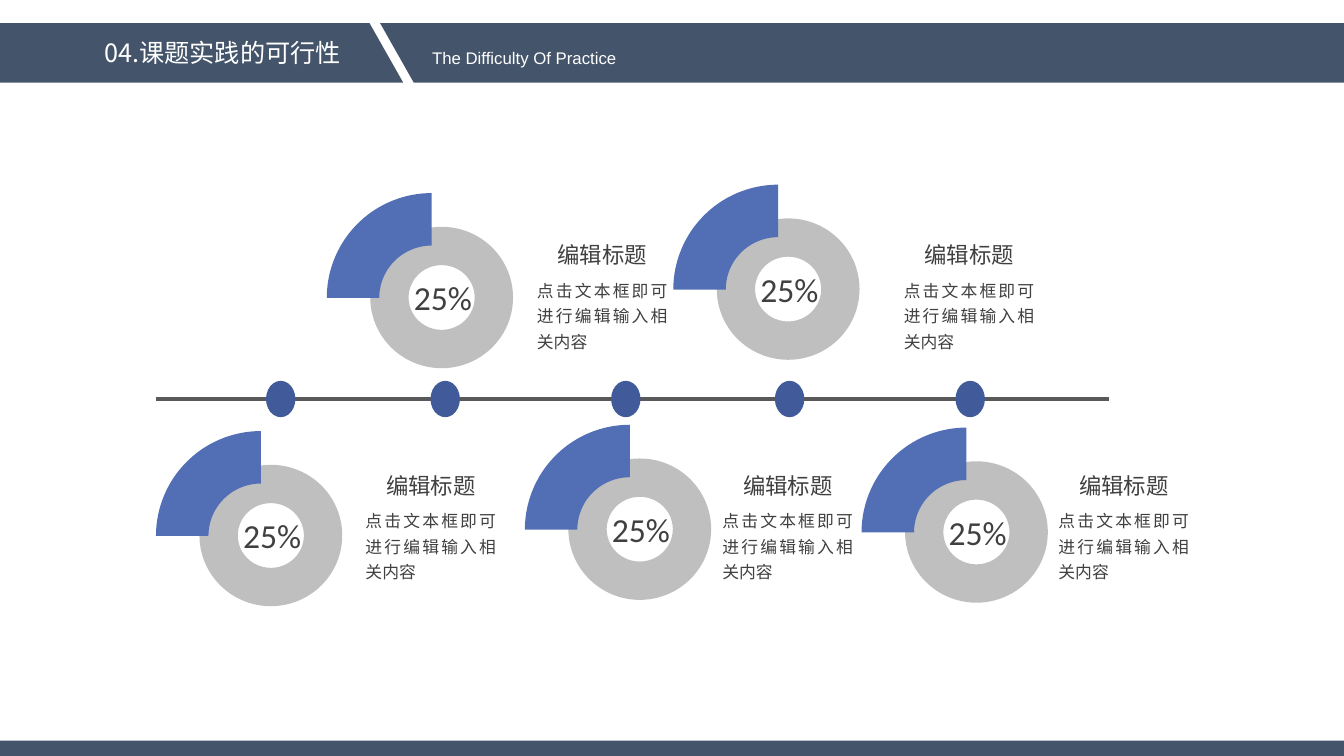
from lxml import etree
from pptx import Presentation
from pptx.chart.data import CategoryChartData
from pptx.dml.color import RGBColor
from pptx.enum.chart import XL_CHART_TYPE
from pptx.enum.shapes import MSO_CONNECTOR, MSO_SHAPE
from pptx.enum.text import MSO_ANCHOR, MSO_AUTO_SIZE, PP_ALIGN
from pptx.oxml import parse_xml
from pptx.oxml.ns import nsdecls, qn
from pptx.util import Pt

DOUGHNUT = XL_CHART_TYPE.DOUGHNUT
LEFT, CENTER, JUSTIFY = PP_ALIGN.LEFT, PP_ALIGN.CENTER, PP_ALIGN.JUSTIFY
TOP, MIDDLE = MSO_ANCHOR.TOP, MSO_ANCHOR.MIDDLE

NAVY = RGBColor(0x44, 0x54, 0x6A)
BLUE = RGBColor(0x52, 0x6F, 0xB6)
DOT_BLUE = RGBColor(0x41, 0x5A, 0x99)
GRAY = RGBColor(0x80, 0x80, 0x80)
LINE_GRAY = RGBColor(0x59, 0x59, 0x59)
TEXT_GRAY = RGBColor(0x40, 0x40, 0x40)
BLACK = RGBColor(0, 0, 0)
WHITE = RGBColor(0xFF, 0xFF, 0xFF)

CJK, LATIN, ARIAL = "Noto Sans CJK SC", "Calibri", "Arial"
TITLE_ONLY = 5
CHART_W, CHART_H, RING_D = 258, 171, 150
DOT_W, DOT_H, LINE_Y = 21, 26, 285

# Left and top of each gauge chart, then of its caption
ITEMS = [
    ((179.5, 127.5), (376.5, 169)),
    ((427, 121.5), (638.5, 169)),
    ((57.5, 297.5), (254, 333.5)),
    ((321, 293), (509, 333.5)),
    ((561.5, 295), (749, 333.5)),
]
DOT_LEFTS = [190, 307.5, 436.5, 553.5, 682.5]


def box(x, y, w, h):
    return Pt(x), Pt(y), Pt(w), Pt(h)


def add_filled(s, kind, bounds, color, adj=None):
    sp = s.shapes.add_shape(kind, *box(*bounds))
    sp.shadow.inherit = False
    sp.fill.solid()
    sp.fill.fore_color.rgb = color
    sp.line.fill.background()
    if adj is not None:
        sp.adjustments[0] = adj
    return sp


def write(sp, text, size, font, color, align=CENTER, anchor=TOP, spacing=None):
    tf = sp.text_frame
    tf.word_wrap = True
    tf.auto_size = MSO_AUTO_SIZE.NONE
    tf.vertical_anchor = anchor
    p = tf.paragraphs[0]
    p.alignment = align
    if spacing:
        p.line_spacing = spacing
    r = p.add_run()
    r.text = text
    r.font.size = Pt(size)
    r.font.name = font
    r.font.color.rgb = color
    if font == CJK:
        ea = etree.SubElement(r.font._element, qn("a:ea"))
        ea.set("typeface", font)


def add_text(s, bounds, *args, **kwargs):
    write(s.shapes.add_textbox(*box(*bounds)), *args, **kwargs)


def add_header(s):
    for left, width in ((-36, 324), (271.5, 726)):
        band = add_filled(s, MSO_SHAPE.PARALLELOGRAM,
                          (left, 16.5, width, 42.5), NAVY, 0.566)
        band.element.spPr.find(qn("a:xfrm")).set("flipV", "1")
    title = s.shapes.title
    title.left, title.top, title.width, title.height = box(-36, 23, 390, 29)
    title.element.getparent().append(title.element)  # in front of the bands
    write(title, "04.课题实践的可行性", 18, CJK, WHITE, anchor=MIDDLE)
    add_text(s, (177, 30, 395, 22), "The Difficulty Of Practice",
             12, ARIAL, WHITE, anchor=MIDDLE)


def clear_chart_frame(chart):
    """Fix the ring's size and make the chart's background transparent."""
    space = chart._chartSpace
    no_fill = (f'<c:spPr {nsdecls("c", "a")}><a:noFill/>'
               '<a:ln><a:noFill/></a:ln></c:spPr>')
    space.find(qn("c:chart")).addnext(parse_xml(no_fill))
    area = space.find(".//" + qn("c:plotArea"))
    area.append(parse_xml(no_fill))
    for old in area.findall(qn("c:layout")):
        area.remove(old)
    w, h = RING_D / CHART_W, RING_D / CHART_H
    area.insert(0, parse_xml(
        f'<c:layout {nsdecls("c")}><c:manualLayout>'
        '<c:layoutTarget val="inner"/>'
        '<c:xMode val="edge"/><c:yMode val="edge"/>'
        f'<c:x val="{(1 - w) / 2:.3f}"/><c:y val="{(1 - h) / 2:.3f}"/>'
        f'<c:w val="{w:.3f}"/><c:h val="{h:.3f}"/>'
        '</c:manualLayout></c:layout>'))
    area.find(".//" + qn("c:holeSize")).set("val", "40")


def add_gauge(s, x, y):
    ring = add_filled(s, MSO_SHAPE.DONUT, (x + 85, y + 34.5, 102, 101),
                      GRAY, 0.271)
    color = ring.element.spPr.find(qn("a:solidFill"))[0]
    etree.SubElement(color, qn("a:alpha")).set("val", "50000")

    data = CategoryChartData()
    data.categories = ["1", "2"]
    data.add_series("Series 1", (75, 25))
    chart = s.shapes.add_chart(
        DOUGHNUT, *box(x, y, CHART_W, CHART_H), data).chart
    chart.has_legend = False
    chart.has_title = False
    chart.font.size = Pt(10)
    chart.font.name = LATIN
    chart.font.color.rgb = BLACK
    plot = chart.plots[0]
    plot.vary_by_categories = False
    rest, share = (plot.series[0].points[i].format for i in range(2))
    rest.fill.background()
    share.fill.solid()
    share.fill.fore_color.rgb = BLUE
    for part in (rest, share):
        part.line.fill.background()
    clear_chart_frame(chart)

    add_text(s, (x + 109, y + 67, 79, 36), "25%", 24, LATIN, TEXT_GRAY, LEFT)


def add_caption(s, x, y):
    add_text(s, (x, y, 107.5, 26.5), "编辑标题", 16, CJK, TEXT_GRAY)
    add_text(s, (x, y + 24.5, 107.5, 62), "点击文本框即可进行编辑输入相关内容",
             12, CJK, TEXT_GRAY, JUSTIFY, spacing=1.25)


def add_timeline(s):
    line = s.shapes.add_connector(MSO_CONNECTOR.STRAIGHT, Pt(111.5),
                                  Pt(LINE_Y), Pt(792), Pt(LINE_Y))
    line.line.color.rgb = LINE_GRAY
    line.line.width = Pt(3)
    etree.SubElement(line.element.spPr, qn("a:effectLst"))
    for left in DOT_LEFTS:
        add_filled(s, MSO_SHAPE.OVAL,
                   (left, LINE_Y - DOT_H / 2, DOT_W, DOT_H), DOT_BLUE)


def main():
    prs = Presentation()
    prs.slide_width, prs.slide_height = Pt(960), Pt(540)
    s = prs.slides.add_slide(prs.slide_layouts[TITLE_ONLY])
    add_header(s)
    add_filled(s, MSO_SHAPE.RECTANGLE, (0, 529, 960, 11), NAVY)
    for gauge, _ in ITEMS:
        add_gauge(s, *gauge)
    add_timeline(s)
    for _, caption in ITEMS:
        add_caption(s, *caption)
    prs.save("out.pptx")


if __name__ == "__main__":
    main()
